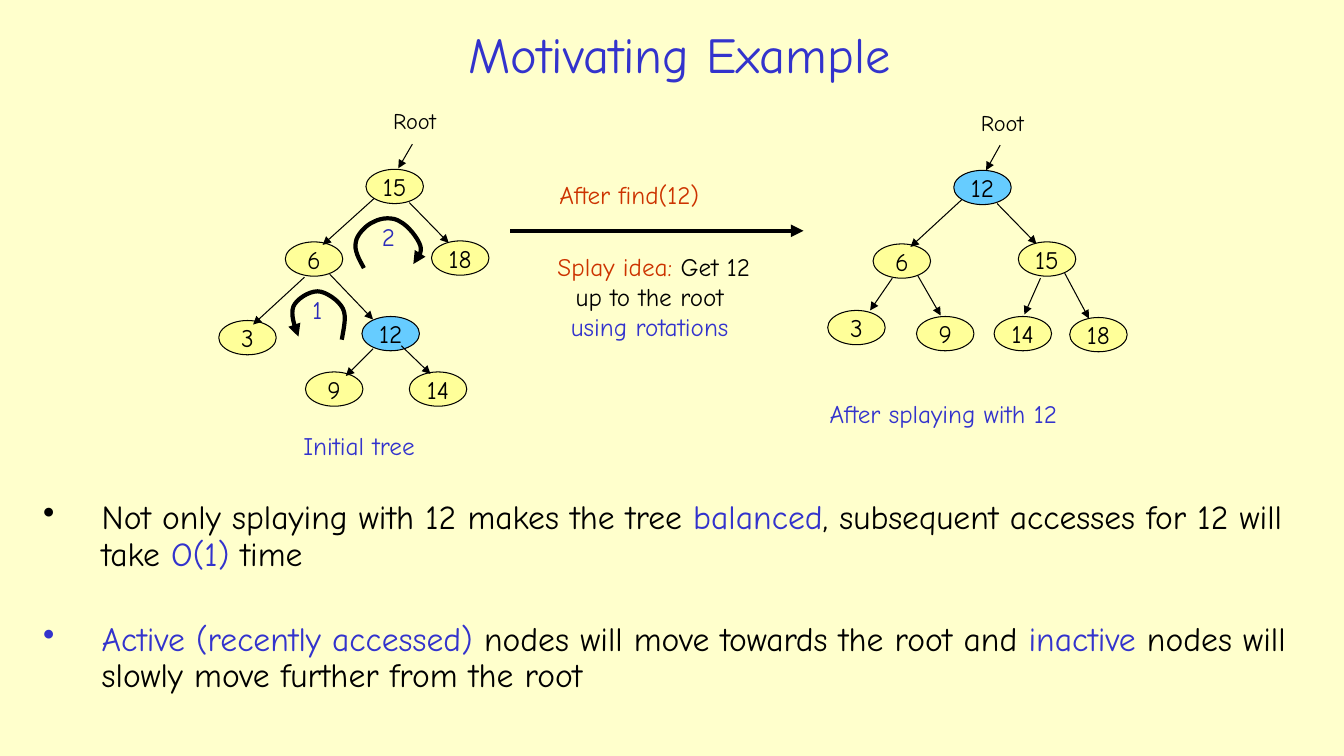
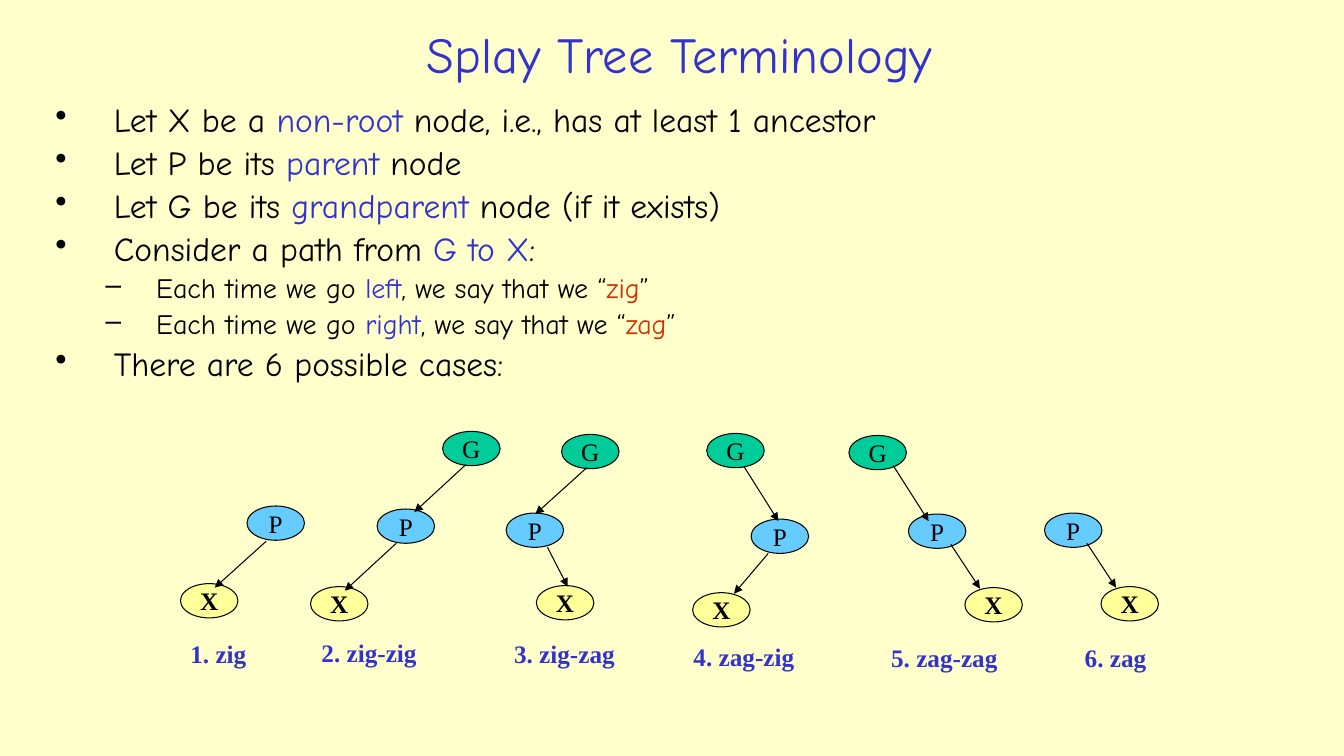
"""Build two slides about splay trees."""
from lxml.etree import SubElement
from pptx import Presentation
from pptx.dml.color import RGBColor as RGB
from pptx.enum.shapes import MSO_CONNECTOR as Link, MSO_SHAPE as Shape
from pptx.enum.text import MSO_ANCHOR as Anchor, MSO_AUTO_SIZE as Auto, PP_ALIGN as Align
from pptx.oxml.ns import qn
from pptx.util import Inches, Pt

CREAM = RGB(0xFF, 0xFF, 0xCC)
YELLOW = RGB(0xFF, 0xFF, 0x99)
SKY = RGB(0x66, 0xCC, 0xFF)
GREEN = RGB(0x00, 0xCC, 0x99)
BLUE = RGB(0x33, 0x33, 0xCC)
NAVY = RGB(0x2D, 0x2D, 0xB9)
RED = RGB(0xCC, 0x33, 0x00)
BLACK = RGB(0, 0, 0)
COMIC, TIMES = "Comic Neue", "Times New Roman"
FILLS = {"12": SKY, "P": SKY, "G": GREEN}


def write(shape, lines, size, color=BLACK, font=COMIC, align=Align.LEFT, bold=False, wrap=False):
    """Fill a shape with lines of runs; a run is text or (text, color)."""
    frame = shape.text_frame
    frame.word_wrap = wrap
    for i, runs in enumerate(lines):
        par = frame.add_paragraph() if i else frame.paragraphs[0]
        par.alignment = align
        par.font.name, par.font.size, par.font.bold = font, Pt(size), bold
        par.font.color.rgb = color
        for item in runs:
            text, tint = item if isinstance(item, tuple) else (item, None)
            run = par.add_run()
            run.text = text
            if tint:
                run.font.color.rgb = tint
    return frame


def point(shape, width):
    """Give a line its black stroke and arrowhead, without a shadow."""
    shape.line.color.rgb = BLACK
    shape.line.width = Pt(width)
    props = shape._element.spPr
    SubElement(props.find(qn("a:ln")), qn("a:tailEnd"), type="triangle")
    SubElement(props, qn("a:effectLst"))


pages = [
    {
        "title": "Motivating Example",
        "font": COMIC,
        "nodes": [
            ("15", 3.63, 1.68), ("6", 2.83, 2.4), ("18", 4.28, 2.39), ("3", 2.17, 3.18),
            ("12", 3.59, 3.14), ("9", 3.03, 3.69), ("14", 4.06, 3.69),
            ("12", 9.46, 1.69), ("6", 8.66, 2.42), ("15", 10.1, 2.4), ("3", 8.21, 3.08),
            ("9", 9.09, 3.14), ("14", 9.86, 3.14), ("18", 10.61, 3.15),
        ],
        "links": [
            (3.71, 1.97, 3.2, 2.43), (4.06, 2.01, 4.45, 2.41), (4.09, 1.43, 3.95, 1.67),
            (3.02, 2.75, 2.51, 3.22), (3.27, 2.72, 3.7, 3.17), (3.98, 3.43, 4.27, 3.71),
            (3.7, 3.46, 3.43, 3.73),
            (9.54, 1.98, 9.03, 2.45), (9.89, 2.02, 10.28, 2.42), (9.92, 1.44, 9.78, 1.69),
            (8.85, 2.76, 8.63, 3.08), (9.1, 2.73, 9.33, 3.13), (10.32, 2.76, 10.16, 3.12),
            (10.56, 2.71, 10.8, 3.16),
        ],
        "labels": [
            ("Initial tree", 2.91, 4.22, 1.56, 18, BLUE),
            ("Root", 3.8, 1.01, 0.68, 16, BLACK),
            ("Root", 9.63, 1.03, 0.68, 16, BLACK),
            ("After splaying with 12", 8.13, 3.9, 2.82, 18, BLUE),
            ("After find(12)", 5.45, 1.73, 1.9, 18, RED),
            ("1", 3, 2.87, 0.32, 18, NAVY),
            ("2", 3.69, 2.15, 0.36, 18, NAVY),
        ],
        "area": (0.33, 4.92, 12.61, 2.21),
        "gap": 35,
        "body": [
            ["Not only splaying with 12 makes the tree ", ("balanced", BLUE),
             ", subsequent accesses for 12 will take ", ("O(1) ", BLUE), "time"],
            [("Active (recently accessed)", BLUE), " nodes will move towards the root and ",
             ("inactive", BLUE), " nodes will slowly move further from the root"],
        ],
        "subs": (),
    },
    {
        "title": "Splay Tree Terminology",
        "font": TIMES,
        "nodes": [
            ("P", 2.45, 5.02), ("X", 1.79, 5.79),
            ("G", 4.39, 4.28), ("P", 3.74, 5.05), ("X", 3.08, 5.82),
            ("G", 5.57, 4.31), ("P", 5.02, 5.09), ("X", 5.32, 5.81),
            ("G", 7.01, 4.3), ("P", 7.45, 5.15), ("X", 6.87, 5.88),
            ("G", 8.42, 4.32), ("P", 9.01, 5.1), ("X", 9.57, 5.83),
            ("P", 10.36, 5.09), ("X", 10.92, 5.82),
        ],
        "links": [
            (2.64, 5.37, 2.13, 5.83),
            (4.62, 4.61, 4.11, 5.08), (3.93, 5.39, 3.42, 5.86),
            (5.82, 4.64, 5.31, 5.1), (5.43, 5.43, 5.63, 5.82),
            (7.38, 4.63, 7.72, 5.17), (7.62, 5.49, 7.28, 5.89),
            (8.86, 4.62, 9.21, 5.17), (9.43, 5.4, 9.72, 5.84),
            (10.78, 5.39, 11.07, 5.83),
        ],
        "labels": [
            ("1. zig", 1.79, 6.28, 0.76, 18, BLUE),
            ("2. zig-zig", 3.09, 6.27, 1.15, 18, BLUE),
            ("3. zig-zag", 5, 6.28, 1.2, 18, BLUE),
            ("4. zag-zig", 6.78, 6.31, 1.2, 18, BLUE),
            ("5. zag-zag", 8.74, 6.32, 1.26, 18, BLUE),
            ("6. zag", 10.66, 6.32, 0.81, 18, BLUE),
        ],
        "area": (0.45, 0.98, 10.92, 3.13),
        "gap": 4.8,
        "body": [
            ["Let X be a ", ("non-root", BLUE), " node, i.e., has at least 1 ancestor"],
            ["Let P be its ", ("parent ", BLUE), "node"],
            ["Let G be its ", ("grandparent ", BLUE), "node (if it exists)"],
            ["Consider a path from ", ("G to X", BLUE), ":"],
            ["Each time we go ", ("left", BLUE), ", we say that we “", ("zig", RED), "”"],
            ["Each time we go ", ("right", BLUE), ", we say that we “", ("zag", RED), "”"],
            ["There are 6 possible cases:"],
        ],
        "subs": (4, 5),
    },
]

deck = Presentation()
deck.slide_width, deck.slide_height = Inches(13.33), Inches(7.5)

for page in pages:
    slide = deck.slides.add_slide(deck.slide_layouts[6])
    slide.background.fill.solid()
    slide.background.fill.fore_color.rgb = CREAM
    shapes = slide.shapes

    box = shapes.add_textbox(Inches(1.97), Inches(0.15), Inches(9.54), Inches(0.76))
    frame = write(box, [[page["title"]]], 36, BLUE, align=Align.CENTER, wrap=True)
    frame.vertical_anchor = Anchor.MIDDLE

    box = shapes.add_textbox(*map(Inches, page["area"]))
    frame = write(box, page["body"], 24, wrap=True)
    for i, par in enumerate(frame.paragraphs):
        sub = i in page["subs"]
        props = par._p.get_or_add_pPr()
        props.set("marL", str(Inches(1 if sub else 0.58)))
        props.set("indent", str(-Inches(0.5 if sub else 0.58)))
        mark = SubElement(props, qn("a:buChar"), char="–" if sub else "•")
        props.insert(0, mark)
        props.insert(0, SubElement(props, qn("a:buFontTx")))
        par.line_spacing = 0.9
        if i:
            par.space_before = Pt(4 if sub else page["gap"])
        if sub:
            par.level = 1
            par.font.size = Pt(20)

    for name, x, y in page["nodes"]:
        node = shapes.add_shape(Shape.OVAL, Inches(x), Inches(y), Inches(0.57), Inches(0.34))
        node.shadow.inherit = False
        node.fill.solid()
        node.fill.fore_color.rgb = FILLS.get(name, YELLOW)
        node.line.color.rgb = BLACK
        node.line.width = Pt(0.75)
        frame = write(node, [[name]], 18, font=page["font"], align=Align.CENTER, bold=name == "X")
        frame.vertical_anchor = Anchor.MIDDLE

    for ends in page["links"]:
        point(shapes.add_connector(Link.STRAIGHT, *map(Inches, ends)), 0.75)

    for text, x, y, width, size, color in page["labels"]:
        box = shapes.add_textbox(Inches(x), Inches(y), Inches(width), Inches(0.4))
        frame = write(box, [[text]], size, color, page["font"], bold=page["font"] == TIMES)
        frame.auto_size = Auto.SHAPE_TO_FIT_TEXT

shapes = deck.slides[0].shapes
point(shapes.add_connector(Link.STRAIGHT, *map(Inches, (5.06, 2.29, 7.97, 2.29))), 3)

box = shapes.add_textbox(Inches(5.32), Inches(2.44), Inches(2.33), Inches(1.01))
idea = [[("Splay idea:", RED), " Get 12"], ["up to the root "], [("using rotations ", BLUE)]]
write(box, idea, 18, align=Align.CENTER).auto_size = Auto.SHAPE_TO_FIT_TEXT

turns = [
    [(3.39, 3.37), (3.41, 3.25), (3.44, 3.14), (3.4, 3.06), (3.36, 2.98), (3.23, 2.89),
     (3.15, 2.89), (3.06, 2.89), (2.94, 2.97), (2.91, 3.04), (2.88, 3.12), (2.92, 3.23),
     (2.96, 3.34)],
    [(3.61, 2.66), (3.56, 2.57), (3.51, 2.48), (3.53, 2.4), (3.54, 2.33), (3.63, 2.23),
     (3.71, 2.2), (3.78, 2.16), (3.9, 2.15), (3.97, 2.2), (4.05, 2.24), (4.15, 2.37),
     (4.17, 2.44), (4.19, 2.51), (4.14, 2.57), (4.1, 2.62)],
]
STEPS = 8
for turn in turns:
    spots = []
    for i in range(0, len(turn) - 1, 3):
        for step in range(1, STEPS + 1):
            t = step / STEPS
            parts = ((1 - t) ** 3, 3 * t * (1 - t) ** 2, 3 * t * t * (1 - t), t ** 3)
            axes = zip(*turn[i:i + 4])
            spots.append([Inches(sum(k * v for k, v in zip(parts, axis))) for axis in axes])
    pen = shapes.build_freeform(*map(Inches, turn[0]))
    pen.add_line_segments(spots, close=False)
    curve = pen.convert_to_shape()
    curve.fill.background()
    point(curve, 3)

deck.save("out.pptx")
